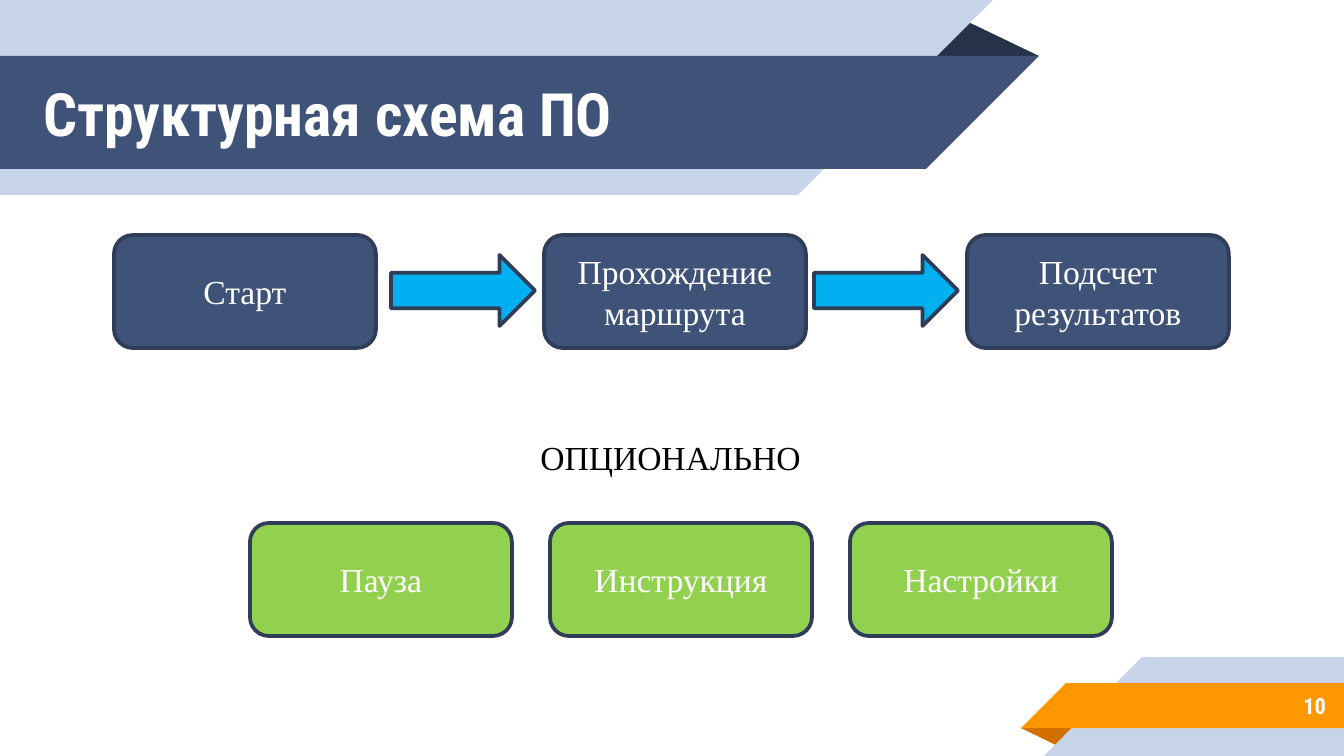
from pptx import Presentation
from pptx.dml.color import RGBColor
from pptx.enum.shapes import MSO_SHAPE
from pptx.enum.text import MSO_ANCHOR, MSO_AUTO_SIZE, PP_ALIGN
from pptx.util import Pt

PX = 6804
ROUNDED = MSO_SHAPE.ROUNDED_RECTANGLE
ARROW = MSO_SHAPE.RIGHT_ARROW
MIDDLE, TOP = MSO_ANCHOR.MIDDLE, MSO_ANCHOR.TOP
LEFT, CENTER, RIGHT = PP_ALIGN.LEFT, PP_ALIGN.CENTER, PP_ALIGN.RIGHT
SERIF, CONDENSED = "Times New Roman", "Roboto Condensed"
NAVY, PALE, OUTLINE, WHITE = "3F5378", "C7D3E6", "2F3D59", "FFFFFF"
rgb = RGBColor.from_string


def paint(shape, fill, line=None):
    shape.shadow.inherit = False
    shape.fill.solid()
    shape.fill.fore_color.rgb = rgb(fill)
    if line:
        shape.line.color.rgb = rgb(line)
        shape.line.width = Pt(2)
    else:
        shape.line.fill.background()


def write(box, text, size=18, font=SERIF, color=WHITE, bold=False,
          align=CENTER, anchor=MIDDLE, inset=None):
    frame = box.text_frame
    frame.word_wrap = True
    frame.auto_size = MSO_AUTO_SIZE.NONE
    frame.vertical_anchor = anchor
    if inset is not None:
        frame.margin_left = frame.margin_right = inset * PX
        frame.margin_top = frame.margin_bottom = inset * PX
    para = frame.paragraphs[0]
    para.alignment = align
    span = para.add_run()
    span.text = text
    span.font.name = font
    span.font.size = Pt(size)
    span.font.bold = bold
    span.font.color.rgb = rgb(color)


deck = Presentation()
deck.slide_width, deck.slide_height = 1344 * PX, 756 * PX
page = deck.slides.add_slide(deck.slide_layouts[5])
shapes = page.shapes

ribbons = [
    ("D26F00", [(1021, 728), (1079, 728), (1060, 747)]),
    (PALE, [(1142, 657), (1344, 657), (1344, 756), (1044, 756)]),
    ("FF9800", [(1066, 683), (1344, 683), (1344, 728), (1021, 728)]),
    ("263248", [(925, 56), (962, 19), (1039, 56)]),
    (PALE, [(0, 0), (993, 0), (798, 195), (0, 195)]),
    (NAVY, [(0, 56), (1039, 56), (926, 169), (0, 169)]),
]
for color, points in ribbons:
    builder = shapes.build_freeform(*points[0], scale=PX)
    builder.add_line_segments(points[1:], close=True)
    paint(builder.convert_to_shape(), color)

title = shapes.title
title.left, title.top, title.width, title.height = 30 * PX, 56 * PX, 808 * PX, 113 * PX
write(title, "Структурная схема ПО", size=32, font=CONDENSED, bold=True,
      align=LEFT, inset=13)
shapes._spTree.append(title._element)

number = shapes.add_textbox(1120 * PX, 682 * PX, 219 * PX, 47 * PX)
write(number, "10", size=12, font=CONDENSED, bold=True, align=RIGHT, inset=13)

steps = [
    (114, 235, NAVY, "Старт"),
    (544, 235, NAVY, "Прохождение маршрута"),
    (967, 235, NAVY, "Подсчет результатов"),
]
options = [(250 + 300 * i, 523, "92D050", label)
           for i, label in enumerate(["Пауза", "Инструкция", "Настройки"])]
for left, top, color, label in steps + options:
    box = shapes.add_shape(ROUNDED, left * PX, top * PX, 262 * PX, 113 * PX)
    paint(box, color, OUTLINE)
    write(box, label)

for left in (391, 814):
    arrow = shapes.add_shape(ARROW, left * PX, 255 * PX, 144 * PX, 71 * PX)
    paint(arrow, "00B0F0", OUTLINE)

caption = shapes.add_textbox(458 * PX, 430 * PX, 425 * PX, 86 * PX)
write(caption, "ОПЦИОНАЛЬНО", color="000000", anchor=TOP)

deck.save("out.pptx")
